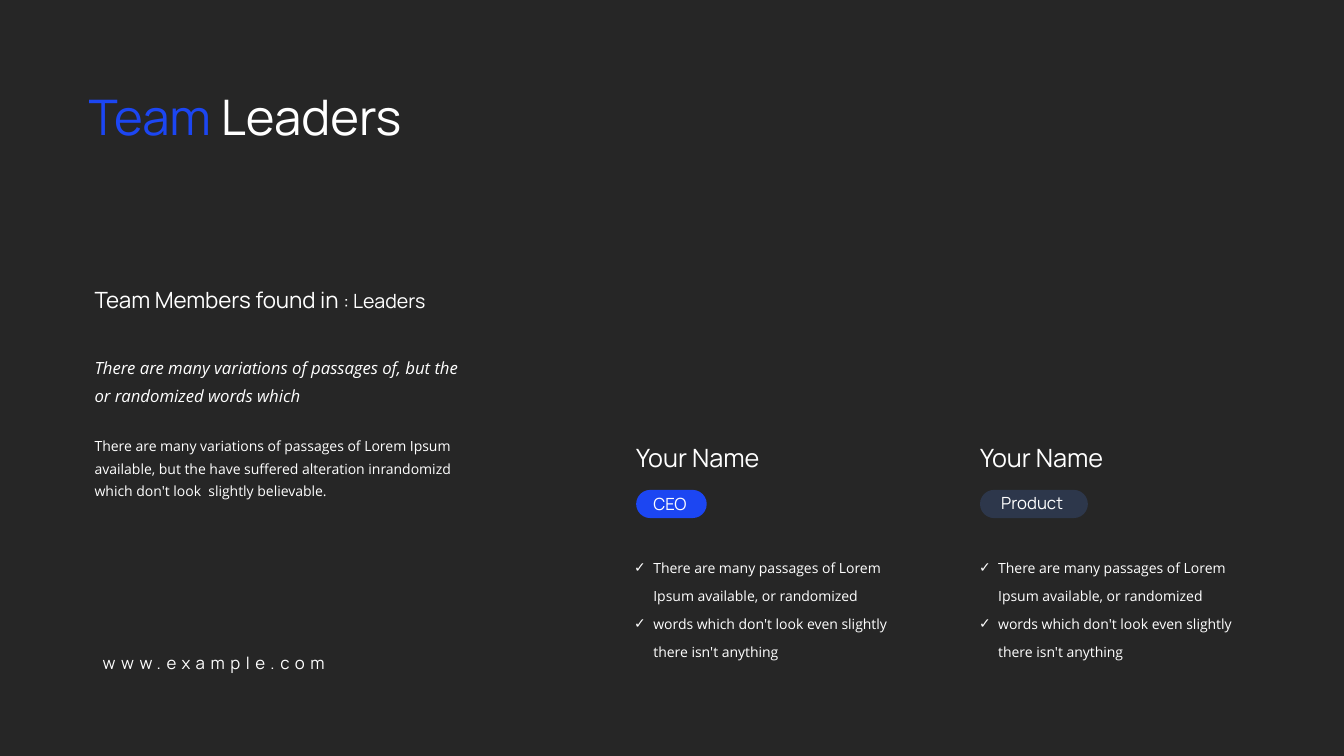
from lxml import etree
from pptx import Presentation
from pptx import util as u
from pptx.dml.color import RGBColor
from pptx.enum import shapes, text
from pptx.oxml.ns import qn

# Content: each paragraph is a list of (text, format changes) runs
BLUE, SLATE, WHITE, DARK = "1C46F2", "2D374B", "FFFFFF", "262626"
TITLE = [[("Team", {"color": BLUE}), (" Leaders", {})]]
HEADING = [[("Team Members found in ", {}), (": Leaders", {"size": 14})]]
QUOTE = [[("There are many variations of passages of, but the or randomized words which", {})]]
DETAILS = [
    [("There are many variations of passages of Lorem Ipsum available, "
      "but the have suffered alteration inrandomizd", {})],
    [("which don't look  slightly believable.", {})],
]
WEBSITE = [[("www.example.com", {"spacing": 4})]]
POINTS = [
    [("There are many passages of Lorem Ipsum available, or randomized", {})],
    [("words which don't look even slightly there isn't anything", {})],
]
# left, name, role, pill colour, pill width, role inset, role top, role width, list left
LEADERS = [
    (6.31, "Your Name", "CEO", BLUE, 0.7, 0.17, 4.92, 0.38, 6.19),
    (9.72, "Your Name", "Product", SLATE, 1.07, 0.21, 4.91, 0.7, 9.61),
]

prs = Presentation()
prs.slide_width, prs.slide_height = u.Inches(13.33), u.Inches(7.5)
slide = prs.slides.add_slide(prs.slide_layouts[3])


def paint(fill, color):
    fill.solid()
    fill.fore_color.rgb = RGBColor.from_string(color)


def place(box, at):
    for side, length in zip(("left", "top", "width", "height"), at):
        setattr(box, side, u.Inches(length))


def add_check(paragraph):
    properties = paragraph._p.get_or_add_pPr()
    properties.set("marL", str(u.Inches(0.19)))
    properties.set("indent", str(u.Inches(-0.19)))
    etree.SubElement(properties, qn("a:buChar")).set("char", "✓")


def write(box, paragraphs, size, font="Manrope", line=None, italic=False,
          checks=False, tight=False):
    frame = box.text_frame
    layout = {"word_wrap": True, "auto_size": text.MSO_AUTO_SIZE.SHAPE_TO_FIT_TEXT,
              "vertical_anchor": text.MSO_ANCHOR.MIDDLE if tight else text.MSO_ANCHOR.TOP}
    if tight:
        layout.update(dict.fromkeys(
            ("margin_left", "margin_top", "margin_right", "margin_bottom"), 0))
    for key, value in layout.items():
        setattr(frame, key, value)
    for number, runs in enumerate(paragraphs):
        paragraph = frame.add_paragraph() if number else frame.paragraphs[0]
        if checks:
            add_check(paragraph)
        spacing = {"alignment": text.PP_ALIGN.LEFT, "space_before": u.Pt(0),
                   "line_spacing": line}
        for key, value in spacing.items():
            setattr(paragraph, key, value)
        for words, changes in runs:
            run = paragraph.add_run()
            run.text = words
            style = {"name": font, "size": u.Pt(changes.get("size", size)), "italic": italic}
            for key, value in style.items():
                setattr(run.font, key, value)
            paint(run.font.fill, changes.get("color", WHITE))
            if "spacing" in changes:
                run._r.get_or_add_rPr().set("spc", str(changes["spacing"] * 100))


def add_text(at, paragraphs, size, **options):
    box = slide.shapes.add_textbox(*map(u.Inches, at))
    write(box, paragraphs, size, **options)


# Background and title
paint(slide.background.fill, DARK)
title, *point_lists = slide.placeholders
place(title, (0.78, 0.77, 4.22, 0.71))
write(title, TITLE, 35, line=u.Pt(45))

# Introduction on the left
add_text((0.84, 2.78, 4.08, 0.37), HEADING, 16, line=u.Pt(20))
add_text((0.84, 4.24, 4.22, 0.75), DETAILS, 10, font="Open Sans", line=u.Pt(16))
add_text((0.84, 3.42, 3.87, 0.64), QUOTE, 12, font="Open Sans", line=u.Pt(20), italic=True)

# One column per leader: name, role pill, check list
for leader, points in zip(LEADERS, point_lists):
    left, name, role, color, pill_width, inset, role_top, role_width, list_left = leader
    add_text((left, 4.42, 1.88, 0.28), [[(name, {})]], 18, line=0.9, tight=True)
    pill = slide.shapes.add_shape(shapes.MSO_SHAPE.ROUNDED_RECTANGLE,
                                  *map(u.Inches, (left, 4.86, pill_width, 0.28)))
    pill.adjustments[0] = 0.5
    pill.shadow.inherit = False
    pill.line.fill.background()
    paint(pill.fill, color)
    add_text((left + inset, role_top, role_width, 0.18), [[(role, {})]], 12,
             line=0.9, tight=True)
    place(points, (list_left, 5.39, 2.81, 1.19))
    write(points, POINTS, 10, font="Open Sans", line=u.Pt(20), checks=True)

# Web address
add_text((0.92, 6.43, 2.77, 0.3), WEBSITE, 12)

# Drop the unfilled footer placeholders, if any
for holder in list(slide.placeholders):
    if not holder.text_frame.text:
        holder.element.getparent().remove(holder.element)

prs.save("out.pptx")
